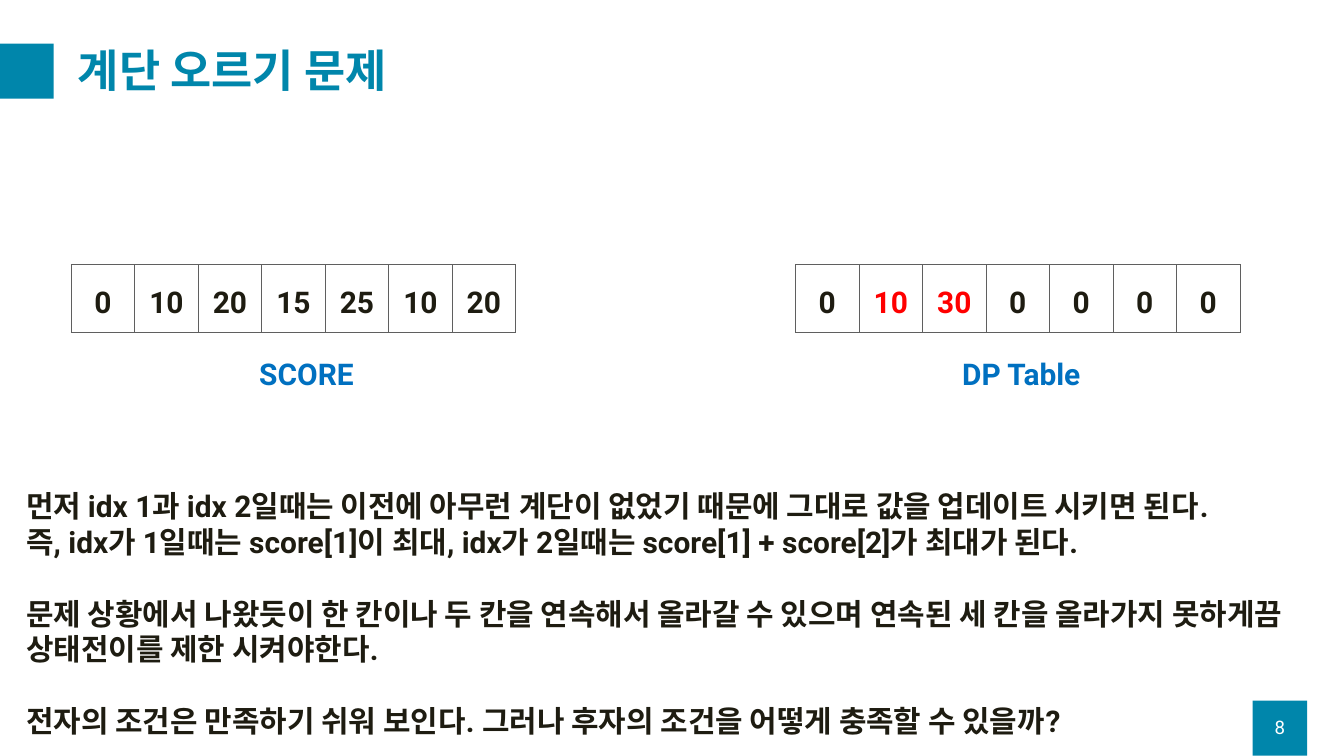
from lxml import etree
from pptx import Presentation
from pptx.dml.color import RGBColor
from pptx.enum.shapes import MSO_SHAPE
from pptx.enum.text import MSO_ANCHOR, MSO_AUTO_SIZE, PP_ALIGN
from pptx.oxml.ns import qn
from pptx.util import Cm, Pt

RECTANGLE = MSO_SHAPE.RECTANGLE
TOP, MIDDLE = MSO_ANCHOR.TOP, MSO_ANCHOR.MIDDLE
LEFT, CENTER = PP_ALIGN.LEFT, PP_ALIGN.CENTER
NO_AUTOFIT = MSO_AUTO_SIZE.NONE

TEAL, BLUE, RED = "0086AB", "0070C0", "FF0000"
INK, GRID, WHITE = "1E1C11", "5F5F5F", "FFFFFF"


def color(value):
    return RGBColor.from_string(value)


def write(para, text, size=32, fill=INK, bold=True, align=LEFT,
          line=1.0, before=0, font="Roboto"):
    para.alignment = align
    para.line_spacing = line
    para.space_before = Pt(before)
    span = para.add_run()
    span.text = text
    span.font.name = font
    span.font.size = Pt(size)
    span.font.bold = bold
    span.font.color.rgb = color(fill)


def draw_borders(cell):
    properties = cell._tc.get_or_add_tcPr()
    for index, side in enumerate(("lnL", "lnR", "lnT", "lnB")):
        border = etree.Element(qn(f"a:{side}"), w=str(Pt(1)))
        solid = etree.SubElement(border, qn("a:solidFill"))
        etree.SubElement(solid, qn("a:srgbClr"), val=GRID)
        properties.insert(index, border)


class SlideBuilder:
    """Holds the style and the current slide."""

    def __init__(self, deck):
        self.slide = deck.slides.add_slide(deck.slide_layouts[5])
        self.shapes = self.slide.shapes
        background = self.slide.background.fill
        background.solid()
        background.fore_color.rgb = color(WHITE)

    def title(self, text, left, top, width, height):
        box = self.shapes.title
        box.left, box.top = Cm(left), Cm(top)
        box.width, box.height = Cm(width), Cm(height)
        frame = box.text_frame
        frame.auto_size = NO_AUTOFIT
        frame.vertical_anchor = MIDDLE
        write(frame.paragraphs[0], text, size=48, fill=TEAL, line=0.9)

    def square(self, left, top):
        box = self.shapes.add_shape(RECTANGLE, Cm(left), Cm(top), Cm(2.06), Cm(2.08))
        box.shadow.inherit = False
        box.fill.solid()
        box.fill.fore_color.rgb = color(TEAL)
        box.line.fill.background()

    def text(self, lines, left, top, width, height, anchor=TOP, gaps=(), **style):
        box = self.shapes.add_textbox(Cm(left), Cm(top), Cm(width), Cm(height))
        frame = box.text_frame
        frame.word_wrap = True
        frame.vertical_anchor = anchor
        for index, line in enumerate(lines):
            para = frame.add_paragraph() if index else frame.paragraphs[0]
            write(para, line, before=38.5 if index in gaps else 0, **style)

    def array(self, values, left, top, marked=(), step=2.4, height=2.57):
        frame = self.shapes.add_table(1, len(values), Cm(left), Cm(top),
                                      Cm(step * len(values)), Cm(height))
        table = frame.table
        table.first_row = table.horz_banding = False
        for index, value in enumerate(values):
            table.columns[index].width = Cm(step)
            cell = table.cell(0, index)
            cell.fill.background()
            draw_borders(cell)
            write(cell.text_frame.paragraphs[0], str(value), align=CENTER, line=1.5,
                  fill=RED if index in marked else INK)


def main():
    deck = Presentation()
    deck.slide_width, deck.slide_height = Cm(50.8), Cm(28.58)
    page = SlideBuilder(deck)

    # Title and page number with their teal squares
    page.square(47.35, 26.49)
    page.square(-0.03, 1.65)
    page.title("계단 오르기 문제", 2.69, 1.27, 46.36, 3)
    page.text(["8"], 47.35, 26.72, 2.06, 1.52, anchor=MIDDLE,
              size=20, fill=WHITE, bold=False, align=CENTER)

    # Explanation, with a gap before the third and fourth paragraphs
    page.text([
        "먼저 idx 1과 idx 2일때는 이전에 아무런 계단이 없었기 때문에 그대로 값을 업데이트 시키면 된다.",
        "즉, idx가 1일때는 score[1]이 최대, idx가 2일때는 score[1] + score[2]가 최대가 된다.",
        "문제 상황에서 나왔듯이 한 칸이나 두 칸을 연속해서 올라갈 수 있으며 연속된 세 칸을 "
        "올라가지 못하게끔 상태전이를 제한 시켜야한다.",
        "전자의 조건은 만족하기 쉬워 보인다. 그러나 후자의 조건을 어떻게 충족할 수 있을까?",
    ], 0.74, 18.31, 48.67, 9.83, gaps=(2, 3))

    # Score array and DP table with their captions
    page.array([0, 10, 20, 15, 25, 10, 20], 2.69, 10.01)
    page.text(["SCORE"], 9.55, 13.31, 7.98, 1.63, fill=BLUE)
    page.array([0, 10, 30, 0, 0, 0, 0], 30.07, 10.01, marked=(1, 2))
    page.text(["DP Table"], 36.12, 13.31, 7.98, 1.63, fill=BLUE)

    deck.save("out.pptx")


if __name__ == "__main__":
    main()
